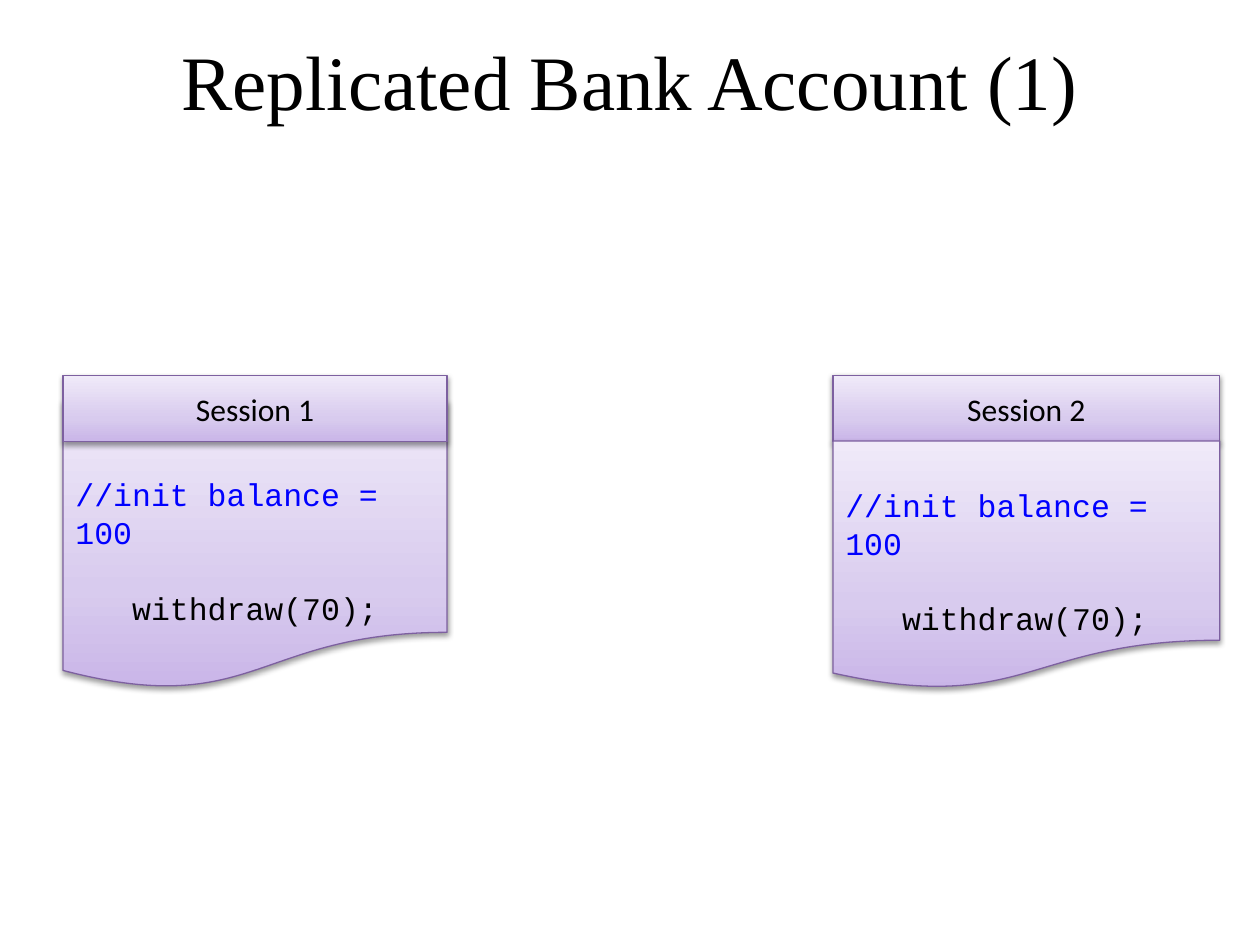
"""Build the slide on a replicated bank account with two sessions."""
import copy

import pptx
import pptx.dml.color
import pptx.enum.shapes
import pptx.enum.text
import pptx.oxml
import pptx.oxml.ns
import pptx.util

Pt = pptx.util.Pt
RGB = pptx.dml.color.RGBColor.from_string
SHAPE = pptx.enum.shapes.MSO_SHAPE
ANCHOR = pptx.enum.text.MSO_ANCHOR
ALIGN = pptx.enum.text.PP_ALIGN
COLORS = {"text": "000000", "comment": "0000FF", "line": "7D60A0",
          "dark": "C9B5E8", "mid": "D8CBEE", "light": "F0EAF9"}
SHADOW = (
    f'<a:effectLst {pptx.oxml.ns.nsdecls("a")}>'
    '<a:outerShdw blurRad="40000" dist="20000" dir="5400000" rotWithShape="0">'
    '<a:srgbClr val="000000"><a:alpha val="38000"/></a:srgbClr>'
    '</a:outerShdw></a:effectLst>'
)


def add_panel(shapes, kind, left, top, width, height):
    sp = shapes.add_shape(kind, Pt(left), Pt(top), Pt(width), Pt(height))
    sp.fill.gradient()
    sp.fill.gradient_angle = 90
    stops = sp._element.spPr.find(".//" + pptx.oxml.ns.qn("a:gsLst"))
    stops.append(copy.deepcopy(stops[0]))
    for stop, (name, position) in zip(
            sp.fill.gradient_stops, (("dark", 0), ("mid", 0.35), ("light", 1))):
        stop.color.rgb = RGB(COLORS[name])
        stop.position = position
    sp.line.color.rgb = RGB(COLORS["line"])
    sp.line.width = Pt(0.75)
    sp._element.spPr.append(pptx.oxml.parse_xml(SHADOW))
    sp.text_frame.word_wrap = True
    return sp


def write(p, text, font, size, color, align):
    p.text = text
    p.alignment = align
    p.font.name = font
    p.font.size = Pt(size)
    p.font.color.rgb = RGB(COLORS[color])


prs = pptx.Presentation()
prs.slide_width, prs.slide_height = Pt(720), Pt(540)
s = prs.slides.add_slide(prs.slide_layouts[5])

title = s.shapes.title
title.left, title.top, title.width, title.height = Pt(36), Pt(0.72), Pt(648), Pt(90)
title.text_frame.vertical_anchor = ANCHOR.MIDDLE
write(title.text_frame.paragraphs[0], "Replicated Bank Account (1)",
      "Times New Roman", 44, "text", ALIGN.CENTER)

header_top, header_height, bottom = 214.5, 38, 394
sessions = (
    ("Session 2", 476, 221, 252, 25.6, ("header", "body")),
    ("Session 1", 36, 219.5, 229, 42.6, ("body", "header")),
)
for name, left, width, body_top, inset, order in sessions:
    for part in order:
        if part == "header":
            sp = add_panel(s.shapes, SHAPE.RECTANGLE, left, header_top, width, header_height)
            tf = sp.text_frame
            tf.vertical_anchor = ANCHOR.MIDDLE
            write(tf.paragraphs[0], name, "Calibri", 18, "text", ALIGN.CENTER)
        else:
            sp = add_panel(s.shapes, SHAPE.FLOWCHART_DOCUMENT, left, body_top,
                           width, bottom - body_top)
            tf = sp.text_frame
            tf.vertical_anchor = ANCHOR.TOP
            tf.margin_top = Pt(inset)
            write(tf.paragraphs[0], "//init balance = 100", "Courier New", 18,
                  "comment", ALIGN.LEFT)
            p = tf.add_paragraph()
            write(p, "   withdraw(70);", "Courier New", 18, "text", ALIGN.LEFT)
            p.space_before = Pt(21.6)
            for p in tf.paragraphs:
                p.line_spacing = Pt(21.6)

prs.save("out.pptx")
